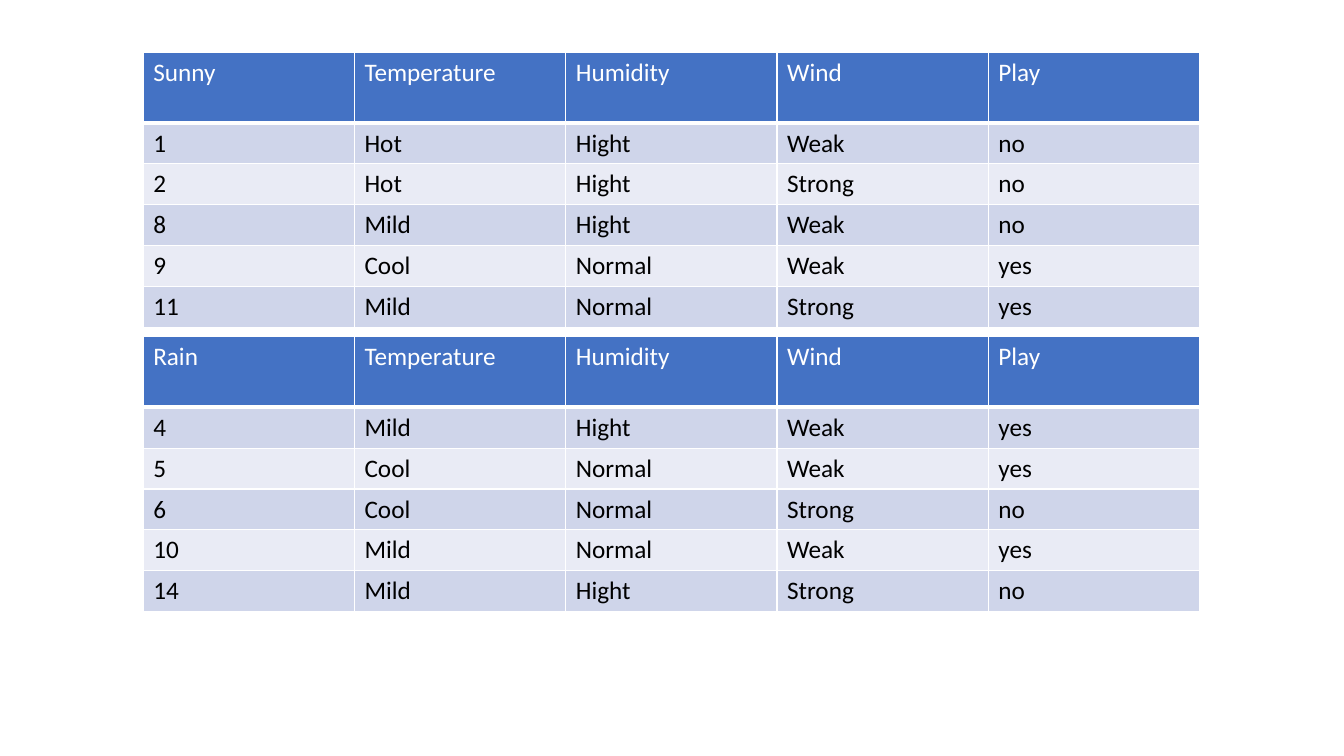
import pptx
import pptx.util
import pptx.dml.color
import pptx.oxml.ns
import lxml.etree

SLIDE_W, SLIDE_H = 13.33, 7.5
HEADER_H, BODY_H = 0.7, 0.4
WHITE, BLACK, BLUE = "FFFFFF", "000000", "4472C4"
BANDS = ["CFD5EA", "E9EBF5"]
HEADINGS = ["Temperature", "Humidity", "Wind", "Play"]

SUNNY_DAYS = [
    ["1", "Hot", "Hight", "Weak", "no"],
    ["2", "Hot", "Hight", "Strong", "no"],
    ["8", "Mild", "Hight", "Weak", "no"],
    ["9", "Cool", "Normal", "Weak", "yes"],
    ["11", "Mild", "Normal", "Strong", "yes"],
]
RAIN_DAYS = [
    ["4", "Mild", "Hight", "Weak", "yes"],
    ["5", "Cool", "Normal", "Weak", "yes"],
    ["6", "Cool", "Normal", "Strong", "no"],
    ["10", "Mild", "Normal", "Weak", "yes"],
    ["14", "Mild", "Hight", "Strong", "no"],
]


def color(hex_code):
    return pptx.dml.color.RGBColor.from_string(hex_code)


def set_text(tf, text, size=18, font="Calibri", fill=BLACK):
    r = tf.paragraphs[0].add_run()
    r.text = text
    r.font.size = pptx.util.Pt(size)
    r.font.name = font
    r.font.color.rgb = color(fill)


def set_borders(cell, bottom=1):
    tc_pr = cell._tc.get_or_add_tcPr()
    qn = pptx.oxml.ns.qn
    for side, points in [("L", 1), ("R", 1), ("T", 1), ("B", bottom)]:
        ln = lxml.etree.SubElement(tc_pr, qn("a:ln" + side), w=str(pptx.util.Pt(points)))
        solid = lxml.etree.SubElement(ln, qn("a:solidFill"))
        lxml.etree.SubElement(solid, qn("a:srgbClr"), val=WHITE)


def add_weather_table(s, outlook, days, left, top, width):
    rows = [[outlook] + HEADINGS] + days
    heights = [HEADER_H] + [BODY_H] * len(days)
    frame = s.shapes.add_table(len(rows), len(rows[0]), *map(
        pptx.util.Inches, (left, top, width, sum(heights))))
    table = frame.table
    for i, (values, height) in enumerate(zip(rows, heights)):
        table.rows[i].height = pptx.util.Inches(height)
        is_header = i == 0
        for j, value in enumerate(values):
            cell = table.cell(i, j)
            set_borders(cell, bottom=3 if is_header else 1)
            cell.fill.solid()
            cell.fill.fore_color.rgb = color(BLUE if is_header else BANDS[(i - 1) % 2])
            set_text(cell.text_frame, value, fill=WHITE if is_header else BLACK)


prs = pptx.Presentation()
prs.slide_width = pptx.util.Inches(SLIDE_W)
prs.slide_height = pptx.util.Inches(SLIDE_H)
s = prs.slides.add_slide(prs.slide_layouts[6])

# One table per outlook, stacked at an equal pitch
LEFT, TOP, WIDTH, PITCH = 1.42, 0.52, 10.48, 2.82
for n, (outlook, days) in enumerate([("Sunny", SUNNY_DAYS), ("Rain", RAIN_DAYS)]):
    add_weather_table(s, outlook, days, LEFT, TOP + n * PITCH, WIDTH)

prs.save("out.pptx")
